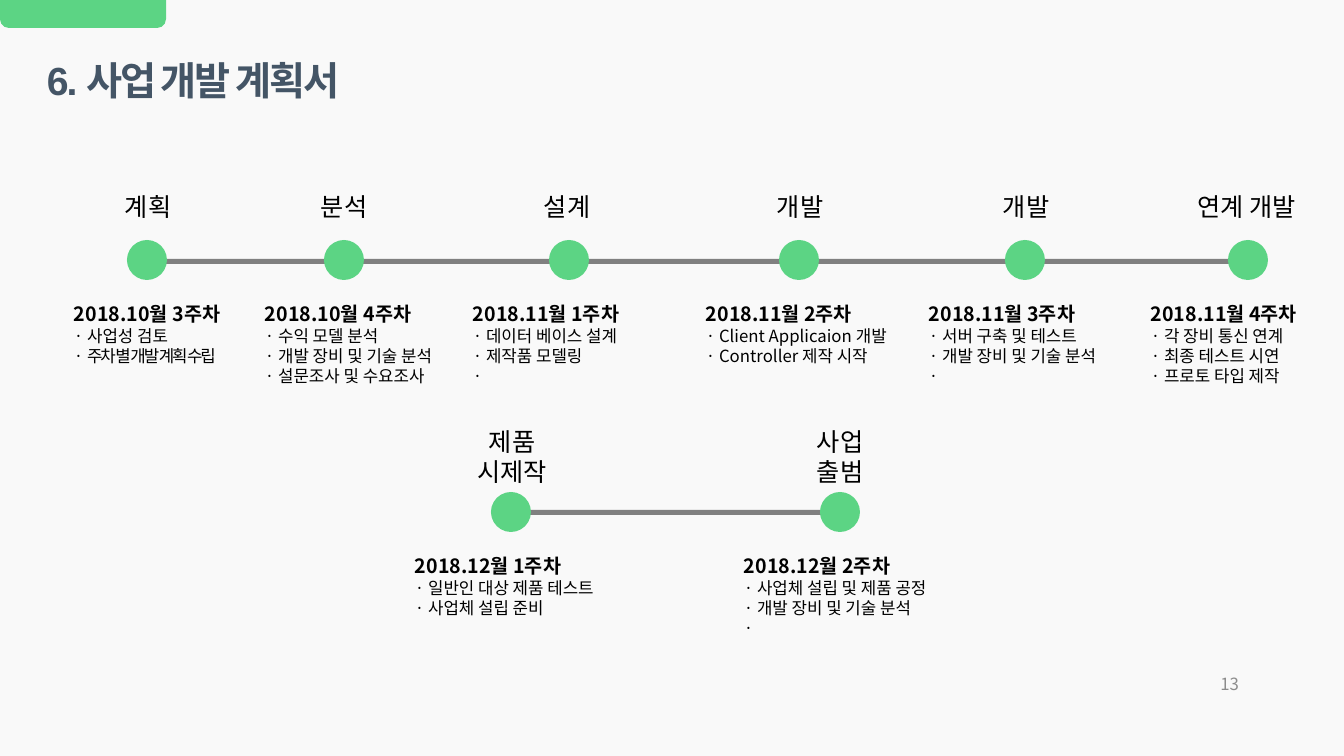
from pptx import Presentation
from pptx.dml.color import RGBColor
from pptx.enum.shapes import MSO_SHAPE as SHAPE
from pptx.enum.text import MSO_ANCHOR as ANCHOR, MSO_AUTO_SIZE as FIT, PP_ALIGN as ALIGN
from pptx.oxml.ns import qn
from pptx.util import Pt
from lxml import etree

TITLE = "6. 사업 개발 계획서"
PAGE = "13"
GREEN, GREY, BLACK = "5CD484", "808080", "000000"
KOREAN = "Noto Sans CJK KR"
DOT, BAR = 40, 5
TIGHT = -150

# fields: label, (label x, width), dot x, (note x, width), date, tasks
ROWS = [
    {"label_y": 186, "dot_y": 240, "bar_y": 259, "note_y": 297, "stages": [
        ("계획", (106, 84), 127, (64, 179), "2018.10월 3주차",
         ["사업성 검토", ("주차 별 개발 계획 수립", TIGHT)]),
        ("분석", (302, 84), 324, (255, 213), "2018.10월 4주차",
         ["수익 모델 분석", "개발 장비 및 기술 분석", "설문조사 및 수요조사"]),
        ("설계", (525, 84), 549, (463, 177), "2018.11월 1주차",
         ["데이터 베이스 설계", "제작품 모델링", ""]),
        ("개발", (758, 84), 779, (696, 202), "2018.11월 2주차",
         ["Client Applicaion 개발", "Controller 제작 시작"]),
        ("개발", (977, 98), 1005, (919, 213), "2018.11월 3주차",
         ["서버 구축 및 테스트", "개발 장비 및 기술 분석", ""]),
        ("연계 개발", (1178, 138), 1228, (1141, 172), "2018.11월 4주차",
         ["각 장비 통신 연계", "최종 테스트 시연", "프로토 타입 제작"]),
    ]},
    {"label_y": 421, "dot_y": 492, "bar_y": 510, "note_y": 549, "stages": [
        ("제품 시제작", (463, 98), 491, (405, 218), "2018.12월 1주차",
         ["일반인 대상 제품 테스트", "사업체 설립 준비"]),
        ("사업 출범", (791, 98), 820, (734, 224), "2018.12월 2주차",
         ["사업체 설립 및 제품 공정", "개발 장비 및 기술 분석", ""]),
    ]},
]


def px(n):
    return round(n * 914400 / 100.8)


def rgb(color):
    return RGBColor.from_string(color)


def add_block(kind, x, y, w, h, color):
    sp = s.shapes.add_shape(kind, px(x), px(y), px(w), px(h))
    sp.shadow.inherit = False
    sp.fill.solid()
    sp.fill.fore_color.rgb = rgb(color)
    sp.line.fill.background()
    return sp


def add_text(x, y, w, h, lines, align=ALIGN.LEFT, anchor=ANCHOR.TOP, fit=FIT.SHAPE_TO_FIT_TEXT):
    tf = s.shapes.add_textbox(px(x), px(y), px(w), px(h)).text_frame
    for name, value in {"word_wrap": True, "auto_size": fit, "vertical_anchor": anchor}.items():
        setattr(tf, name, value)
    for i, runs in enumerate(lines):
        p = tf.paragraphs[0] if i == 0 else tf.add_paragraph()
        p.alignment = align
        for text, size, style in runs:
            r = p.add_run()
            r.text = text
            fmt = {"size": Pt(size), "bold": style.get("bold", False),
                   "name": style.get("font", KOREAN)}
            for name, value in fmt.items():
                setattr(r.font, name, value)
            r.font.color.rgb = rgb(style.get("color", BLACK))
            props = r.font._element
            etree.SubElement(props, qn("a:ea")).set("typeface", KOREAN)
            if "spacing" in style:
                props.set("spc", str(style["spacing"]))


def task_runs(task):
    if isinstance(task, tuple):
        text, spacing = task
        return [("· ", 12, {}), (text, 12, {"spacing": spacing})]
    return [(f"· {task}".strip(), 12, {})]


prs = Presentation()
prs.slide_width, prs.slide_height = px(1344), px(756)
s = prs.slides.add_slide(prs.slide_layouts[6])
s.background.fill.solid()
s.background.fill.fore_color.rgb = rgb("F9F9F9")

tab = add_block(SHAPE.ROUND_2_SAME_RECTANGLE, 0, 0, 166, 28, GREEN)
tab.adjustments[0], tab.adjustments[1] = 0, 0.32
add_text(37, 51, 657, 57, [[(TITLE, 28, {"font": "Arial", "color": "445566",
                                         "bold": True, "spacing": TIGHT})]])
add_text(947, 664, 302, 40, [[(PAGE, 12, {"color": "8C8C8C"})]],
         ALIGN.RIGHT, ANCHOR.MIDDLE, FIT.NONE)

for row in ROWS:
    stages = row["stages"]
    first, last = stages[0][2], stages[-1][2]
    add_block(SHAPE.RECTANGLE, first + DOT / 2, row["bar_y"], last - first, BAR, GREY)
    for label, (label_x, label_w), dot_x, (note_x, note_w), date, tasks in stages:
        add_block(SHAPE.OVAL, dot_x, row["dot_y"], DOT, DOT, GREEN)
        label_h = 40 if row is ROWS[0] else 72
        add_text(label_x, row["label_y"], label_w, label_h, [[(label, 18, {})]], ALIGN.CENTER)
        lines = [[(date, 14, {"bold": True})]] + [task_runs(t) for t in tasks]
        add_text(note_x, row["note_y"], note_w, 95, lines)

prs.save("out.pptx")
